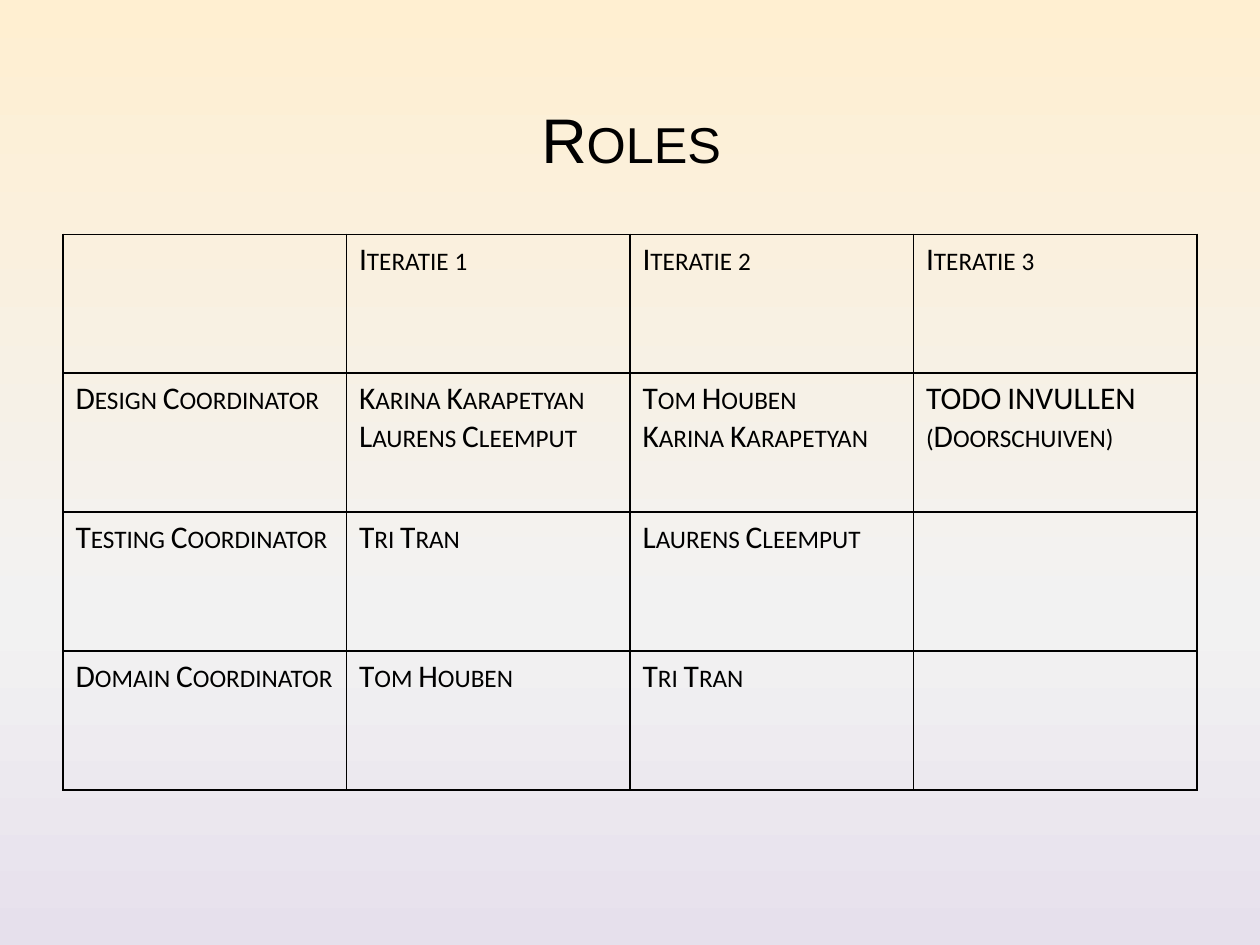
from dataclasses import dataclass

from lxml import etree
from pptx import Presentation
from pptx.dml.color import RGBColor
from pptx.enum import text
from pptx.oxml import ns
from pptx.util import Inches, Pt


@dataclass(frozen=True)
class Theme:
    ink: str = "000000"
    gradient: tuple = ((0, "FFEFD1"), (65, "F2F2F2"), (100, "E6E0EC"))
    title_font: str = "Arial"
    title_size: int = 36
    cell_font: str = "Calibri"
    cell_size: int = 18
    border: int = 1


THEME = Theme()

ROLES = [
    ["", "Iteratie 1", "Iteratie 2", "Iteratie 3"],
    ["Design Coordinator", "Karina Karapetyan\nLaurens Cleemput",
     "Tom Houben\nKarina Karapetyan", "TODO INVULLEN (Doorschuiven)"],
    ["Testing Coordinator", "Tri Tran", "Laurens Cleemput", ""],
    ["Domain Coordinator", "Tom Houben", "Tri Tran", ""],
]


def add_element(parent, tag, **attrs):
    return etree.SubElement(parent, ns.qn(tag), **attrs)


def set_background(s):
    fill = s.background.fill
    fill.gradient()
    fill.gradient_angle = 270  # counter-clockwise, so top to bottom
    stops = s.element.find(".//" + ns.qn("a:gsLst"))
    for stop in list(stops):
        stops.remove(stop)
    for percent, color in THEME.gradient:
        stop = add_element(stops, "a:gs", pos=str(percent * 1000))
        add_element(stop, "a:srgbClr", val=color)


def format_runs(tf, font, size):
    for p in tf.paragraphs:
        for r in p.runs:
            r.font.name = font
            r.font.size = Pt(size)
            r.font.bold = False
            r.font.color.rgb = RGBColor.from_string(THEME.ink)
            r.font._element.set("cap", "small")


def add_title(s, title):
    sp = s.shapes.title
    sp.left, sp.top = Inches(0.51), Inches(0.47)
    sp.width, sp.height = Inches(9), Inches(1.25)
    tf = sp.text_frame
    tf.text = title
    tf.vertical_anchor = text.MSO_ANCHOR.MIDDLE
    tf.paragraphs[0].alignment = text.PP_ALIGN.CENTER
    format_runs(tf, THEME.title_font, THEME.title_size)


def set_borders(cell):
    tc_pr = cell._tc.get_or_add_tcPr()
    for side in ("a:lnL", "a:lnR", "a:lnT", "a:lnB"):
        line = add_element(tc_pr, side, w=str(Pt(THEME.border)))
        add_element(add_element(line, "a:solidFill"), "a:srgbClr", val=THEME.ink)


def add_table(s, rows):
    frame = s.shapes.add_table(len(rows), len(rows[0]), Inches(0.5),
                               Inches(1.86), Inches(9), Inches(4.41))
    table = frame.table
    table.first_row = table.horz_banding = False
    for i, row in enumerate(rows):
        for j, words in enumerate(row):
            cell = table.cell(i, j)
            set_borders(cell)
            cell.fill.background()
            if words:
                cell.text_frame.text = words
                format_runs(cell.text_frame, THEME.cell_font, THEME.cell_size)


def main():
    prs = Presentation()
    prs.slide_width, prs.slide_height = Inches(10), Inches(7.5)
    s = prs.slides.add_slide(prs.slide_layouts[5])  # Title Only
    set_background(s)
    # Who takes which role in each iteration
    add_table(s, ROLES)
    add_title(s, "Roles")
    prs.save("out.pptx")


if __name__ == "__main__":
    main()
